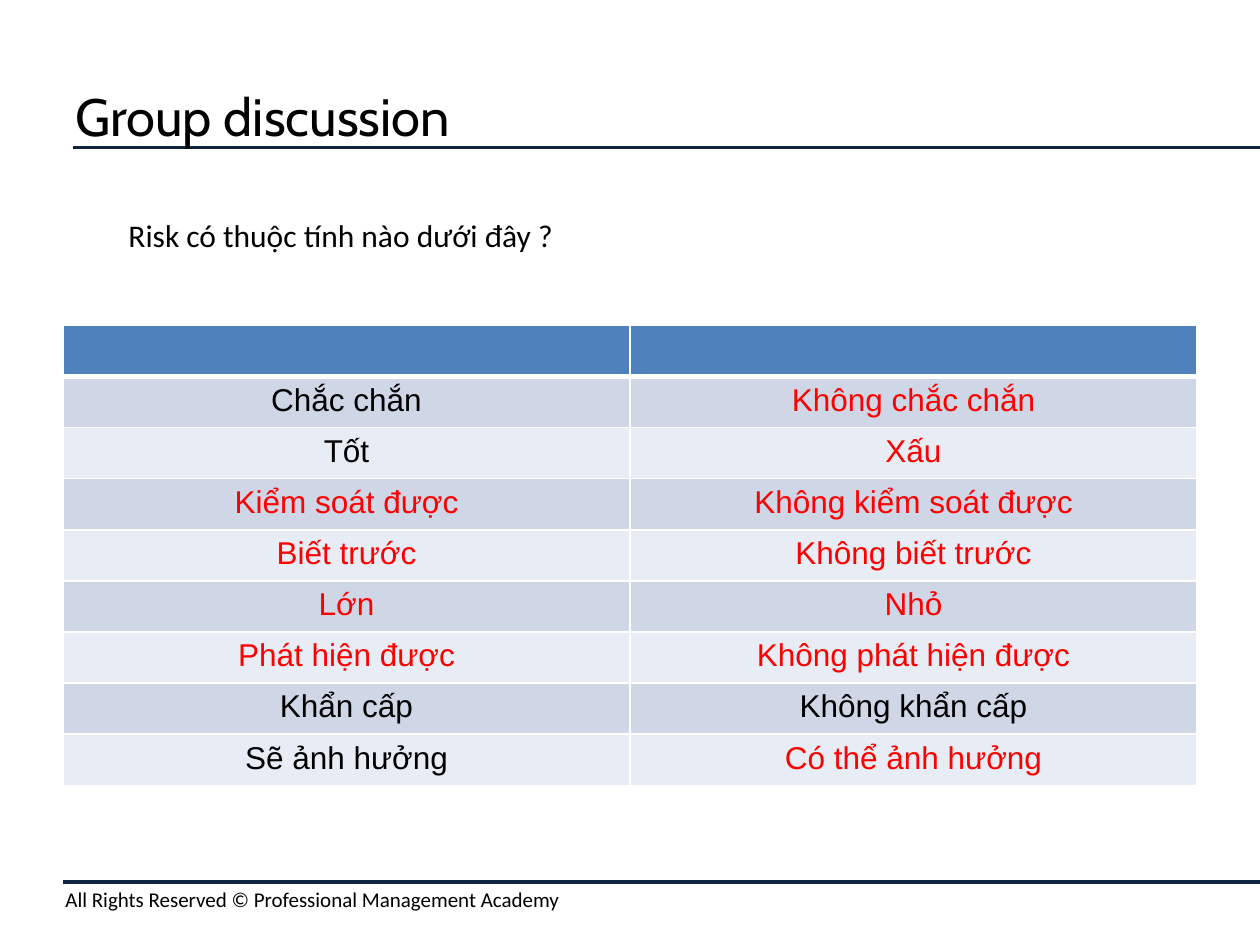
"""Build the group discussion slide about the attributes of risk."""
from dataclasses import dataclass

import pptx
import pptx.dml.color
import pptx.enum.shapes
import pptx.enum.text
import pptx.oxml
import pptx.oxml.ns
import pptx.util

Cm = pptx.util.Cm
Pt = pptx.util.Pt
RGB = pptx.dml.color.RGBColor.from_string
ALIGN = pptx.enum.text.PP_ALIGN
ANCHOR = pptx.enum.text.MSO_ANCHOR


@dataclass(frozen=True)
class Theme:
    rule: str = "0F243E"
    ink: str = "000000"
    answer: str = "FF0000"
    header: str = "4F81BD"
    bands: tuple = ("CFD7E7", "E8ECF4")
    border: str = "FFFFFF"
    title_font: str = "Cabin"
    body_font: str = "Calibri"
    table_font: str = "Arial"
    title_size: int = 30
    body_size: int = 18
    footer_size: int = 12


@dataclass(frozen=True)
class Attribute:
    text: str
    is_answer: bool = True


@dataclass(frozen=True)
class Rule:
    left: float
    top: float


THEME = Theme()
SLIDE_W, SLIDE_H = 25.4, 19.05
RULES = (Rule(1.47, 2.97), Rule(1.27, 17.78))
PAIRS = (
    (Attribute("Chắc chắn", False), Attribute("Không chắc chắn")),
    (Attribute("Tốt", False), Attribute("Xấu")),
    (Attribute("Kiểm soát được"), Attribute("Không kiểm soát được")),
    (Attribute("Biết trước"), Attribute("Không biết trước")),
    (Attribute("Lớn"), Attribute("Nhỏ")),
    (Attribute("Phát hiện được"), Attribute("Không phát hiện được")),
    (Attribute("Khẩn cấp", False), Attribute("Không khẩn cấp", False)),
    (Attribute("Sẽ ảnh hưởng", False), Attribute("Có thể ảnh hưởng")),
)


def write(tf, text: str, *, font: str, size: int, color: str = THEME.ink,
          align=ALIGN.LEFT) -> None:
    """Put one formatted paragraph in a text frame."""
    p = tf.paragraphs[0]
    p.alignment = align
    r = p.add_run()
    r.text = text
    r.font.name = font
    r.font.size = Pt(size)
    r.font.color.rgb = RGB(color)


def add_text(s, text: str, left: float, top: float, width: float, height: float, *,
             anchor=ANCHOR.TOP, **style) -> None:
    """Add a wrapping text box placed in centimetres."""
    tf = s.shapes.add_textbox(Cm(left), Cm(top), Cm(width), Cm(height)).text_frame
    tf.word_wrap = True
    tf.vertical_anchor = anchor
    write(tf, text, **style)


def add_rule(s, rule: Rule) -> None:
    """Draw a horizontal rule to the right edge of the slide."""
    line = s.shapes.add_connector(pptx.enum.shapes.MSO_CONNECTOR.STRAIGHT,
                                  Cm(rule.left), Cm(rule.top), Cm(SLIDE_W), Cm(rule.top))
    line.line.color.rgb = RGB(THEME.rule)
    line.line.width = Pt(2)
    line._element.spPr.append(pptx.oxml.parse_xml(
        f'<a:effectLst {pptx.oxml.ns.nsdecls("a")}/>'))


def style_cell(cell, fill: str, top: int = 1, bottom: int = 1) -> None:
    """Give a cell its borders, in points, and its fill."""
    tcPr = cell._tc.get_or_add_tcPr()
    for side, width in zip("LRTB", (1, 1, top, bottom)):
        tcPr.append(pptx.oxml.parse_xml(
            f'<a:ln{side} {pptx.oxml.ns.nsdecls("a")} w="{Pt(width)}"><a:solidFill>'
            f'<a:srgbClr val="{THEME.border}"/></a:solidFill></a:ln{side}>'))
    cell.fill.solid()
    cell.fill.fore_color.rgb = RGB(fill)


def add_attribute_table(s) -> None:
    """Add the table of opposite attributes under an empty header."""
    col_w, row_h = 11.43, 1.03
    rows = len(PAIRS) + 1
    table = s.shapes.add_table(rows, 2, Cm(1.27), Cm(6.56),
                               Cm(2 * col_w), Cm(rows * row_h)).table
    for col in table.columns:
        col.width = Cm(col_w)
    for row in table.rows:
        row.height = Cm(row_h)
    for cell in table.rows[0].cells:
        style_cell(cell, THEME.header, bottom=3)
    for i, pair in enumerate(PAIRS):
        for cell, attribute in zip(table.rows[i + 1].cells, pair):
            style_cell(cell, THEME.bands[i % 2], top=1 if i else 3)
            write(cell.text_frame, attribute.text, font=THEME.table_font,
                  size=THEME.body_size, align=ALIGN.CENTER,
                  color=THEME.answer if attribute.is_answer else THEME.ink)


def main() -> None:
    """Build and save the slide."""
    prs = pptx.Presentation()
    prs.slide_width, prs.slide_height = Cm(SLIDE_W), Cm(SLIDE_H)
    s = prs.slides.add_slide(prs.slide_layouts[6])
    for rule in RULES:
        add_rule(s, rule)
    add_text(s, "All Rights Reserved © Professional Management Academy",
             1.07, 17.75, 24.33, 0.76, font=THEME.body_font, size=THEME.footer_size)
    add_text(s, "Group discussion", 1.27, 1.27, 22.86, 2.11, anchor=ANCHOR.MIDDLE,
             font=THEME.title_font, size=THEME.title_size)
    add_attribute_table(s)
    add_text(s, "Risk có thuộc tính nào dưới đây ?", 2.34, 4.24, 10.13, 1.02,
             font=THEME.body_font, size=THEME.body_size)
    prs.save("out.pptx")


if __name__ == "__main__":
    main()
